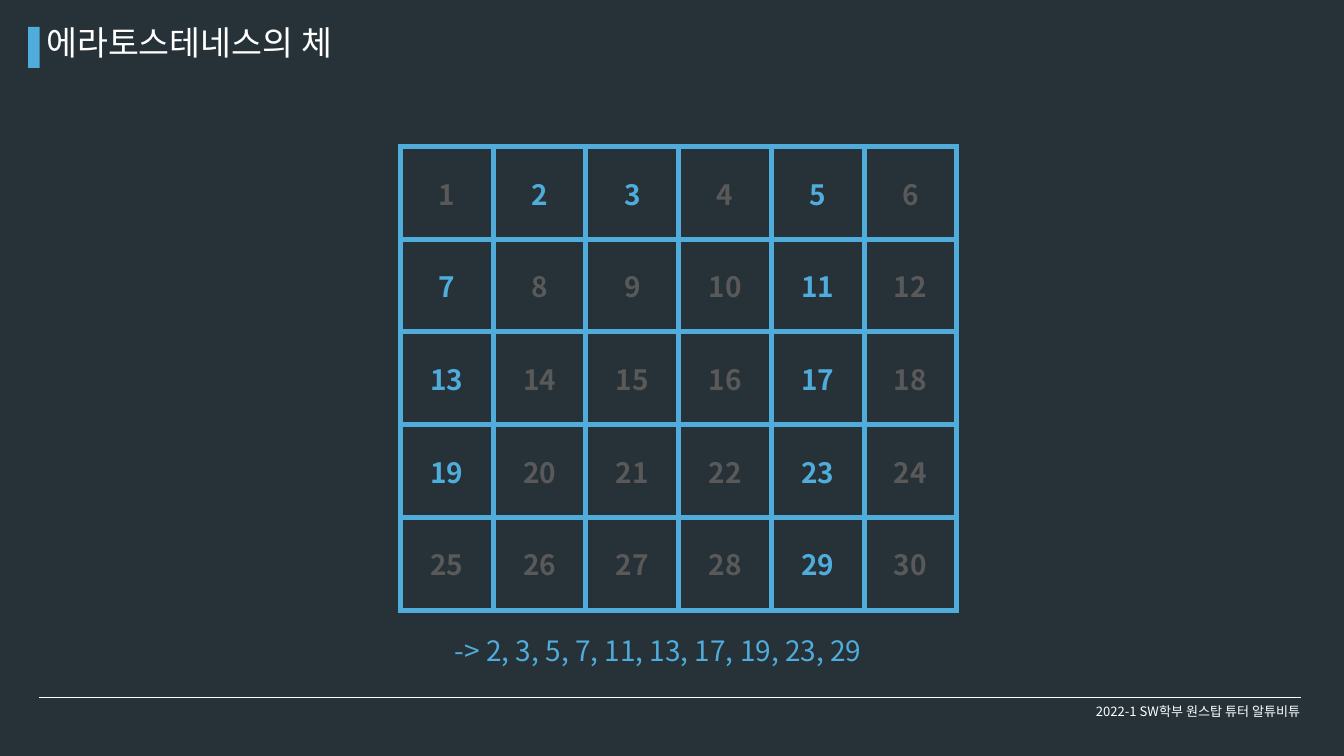
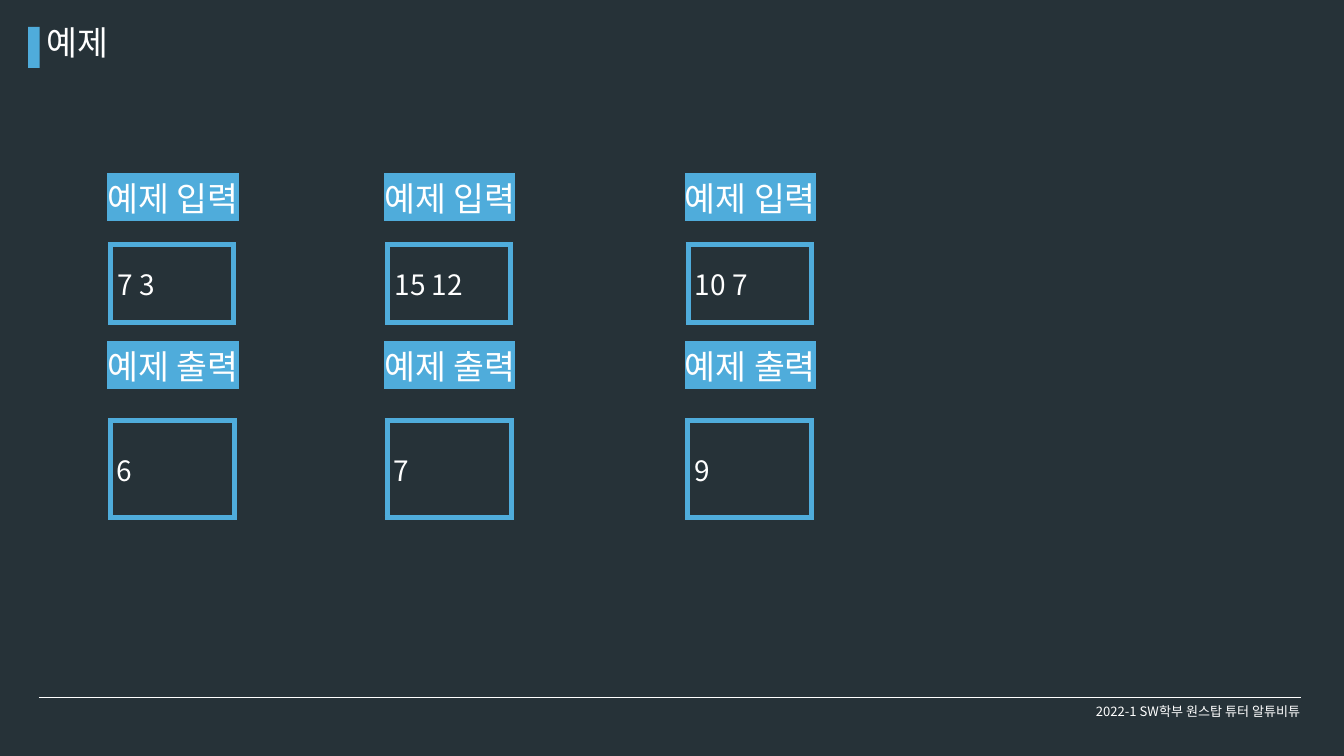
from lxml import etree
from pptx import Presentation
from pptx.dml.color import RGBColor
from pptx.enum import shapes, text
from pptx.oxml.ns import qn
from pptx.util import Inches, Pt

FONT = "Noto Sans CJK KR"
BACKGROUND = RGBColor(0x26, 0x32, 0x38)
ACCENT = RGBColor(0x4F, 0xAC, 0xDB)
WHITE = RGBColor(0xFF, 0xFF, 0xFF)
GRAY = RGBColor(0x59, 0x59, 0x59)

FOOTER = "2022-1 SW학부 원스탑 튜터 알튜비튜"
SIEVE_TITLE = "에라토스테네스의 체"
EXAMPLE_TITLE = "예제"
SIEVE_ROWS, SIEVE_COLUMNS = 5, 6
SIEVE_CELL = 1.38
EXAMPLES = [
    (1.5, "7 3", "6"),
    (5.62, "15 12", "7"),
    (10.09, "10 7", "9"),
]
EXAMPLE_PARTS = [
    ("예제 입력", 2.67, 0.15, 3.64, 1.83, 1.16),
    ("예제 출력", 5.17, 0.14, 6.26, 1.85, 1.44),
]


def add_color(parent, tag, color):
    element = etree.SubElement(parent, qn(tag))
    etree.SubElement(element, qn("a:srgbClr"), val=str(color))
    return element


def write(frame, content, size=30, color=WHITE, bold=False, centered=False,
          highlight=None, line_spacing=None):
    paragraph = frame.paragraphs[0]
    paragraph.alignment = text.PP_ALIGN.CENTER if centered else text.PP_ALIGN.LEFT
    paragraph.line_spacing = line_spacing
    run = paragraph.add_run()
    run.text = content
    run.font.size = Pt(size)
    run.font.bold = bold
    run.font.color.rgb = color
    run.font.name = FONT
    properties = run.font._element
    latin = properties.find(qn("a:latin"))
    if highlight is not None:
        latin.addprevious(add_color(properties, "a:highlight", highlight))
    latin.addnext(etree.SubElement(properties, qn("a:ea"), typeface=FONT))


def add_text(slide, content, left, top, width, height, grow=True, **style):
    box = slide.shapes.add_textbox(*map(Inches, (left, top, width, height)))
    frame = box.text_frame
    frame.word_wrap = True
    if grow:
        frame.auto_size = text.MSO_AUTO_SIZE.SHAPE_TO_FIT_TEXT
    else:
        frame.vertical_anchor = text.MSO_ANCHOR.MIDDLE
    write(frame, content, line_spacing=0.9, **style)


def add_grid(slide, rows, left, top, cell_width, cell_height, style_of):
    columns = len(rows[0])
    frame = slide.shapes.add_table(
        len(rows), columns, Inches(left), Inches(top),
        Inches(cell_width * columns), Inches(cell_height * len(rows)))
    table = frame.table
    table.first_row = table.horz_banding = False
    for column in table.columns:
        column.width = Inches(cell_width)
    for row, values in zip(table.rows, rows):
        row.height = Inches(cell_height)
        for cell, value in zip(row.cells, values):
            cell.vertical_anchor = text.MSO_ANCHOR.MIDDLE
            write(cell.text_frame, str(value), **style_of(value))
            properties = cell._tc.get_or_add_tcPr()
            for side in ("a:lnL", "a:lnR", "a:lnT", "a:lnB"):
                border = etree.SubElement(properties, qn(side), w=str(Pt(6)))
                add_color(border, "a:solidFill", ACCENT)
            cell.fill.background()


def add_base_slide(presentation, title):
    slide = presentation.slides.add_slide(presentation.slide_layouts[6])
    line = slide.shapes.add_connector(
        shapes.MSO_CONNECTOR.STRAIGHT,
        Inches(0.58), Inches(10.38), Inches(19.36), Inches(10.38))
    line.line.color.rgb = WHITE
    line.line.width = Pt(0.75)
    etree.SubElement(line._element.spPr, qn("a:effectLst"))
    bar = slide.shapes.add_shape(
        shapes.MSO_SHAPE.RECTANGLE, *map(Inches, (0.42, 0.4, 0.17, 0.61)))
    bar.shadow.inherit = False
    bar.fill.solid()
    bar.fill.fore_color.rgb = ACCENT
    bar.line.fill.background()
    add_text(slide, FOOTER, 15.83, 10.31, 4, 0.57, grow=False, size=14, centered=True)
    add_text(slide, title, 0.59, 0.35, 9.5, 0.71, size=36)
    return slide


def is_prime(number):
    return number > 1 and all(number % divisor for divisor in range(2, number))


def sieve_style(number):
    return dict(color=ACCENT if is_prime(number) else GRAY, bold=True, centered=True)


def example_style(value):
    return dict(color=WHITE)


def add_sieve_slide(presentation):
    slide = add_base_slide(presentation, SIEVE_TITLE)
    last = SIEVE_ROWS * SIEVE_COLUMNS
    rows = [range(first, first + SIEVE_COLUMNS)
            for first in range(1, last + 1, SIEVE_COLUMNS)]
    add_grid(slide, rows, 5.96, 2.18, SIEVE_CELL, SIEVE_CELL, sieve_style)
    primes = ", ".join(str(number) for number in range(1, last + 1) if is_prime(number))
    add_text(slide, f"-> {primes}", 6.67, 9.43, 6.67, 0.61, color=ACCENT)


def add_example_slide(presentation):
    slide = add_base_slide(presentation, EXAMPLE_TITLE)
    for left, *values in EXAMPLES:
        for value, part in zip(values, EXAMPLE_PARTS):
            label, label_top, indent, box_top, width, height = part
            add_text(slide, label, left, label_top, 3.58, 0.71, size=36, highlight=ACCENT)
            add_grid(slide, [[value]], left + indent, box_top, width, height, example_style)


def main():
    presentation = Presentation()
    presentation.slide_width = Inches(20)
    presentation.slide_height = Inches(11.25)
    background = presentation.slide_master.background.fill
    background.solid()
    background.fore_color.rgb = BACKGROUND
    add_sieve_slide(presentation)
    add_example_slide(presentation)
    presentation.save("out.pptx")


if __name__ == "__main__":
    main()
